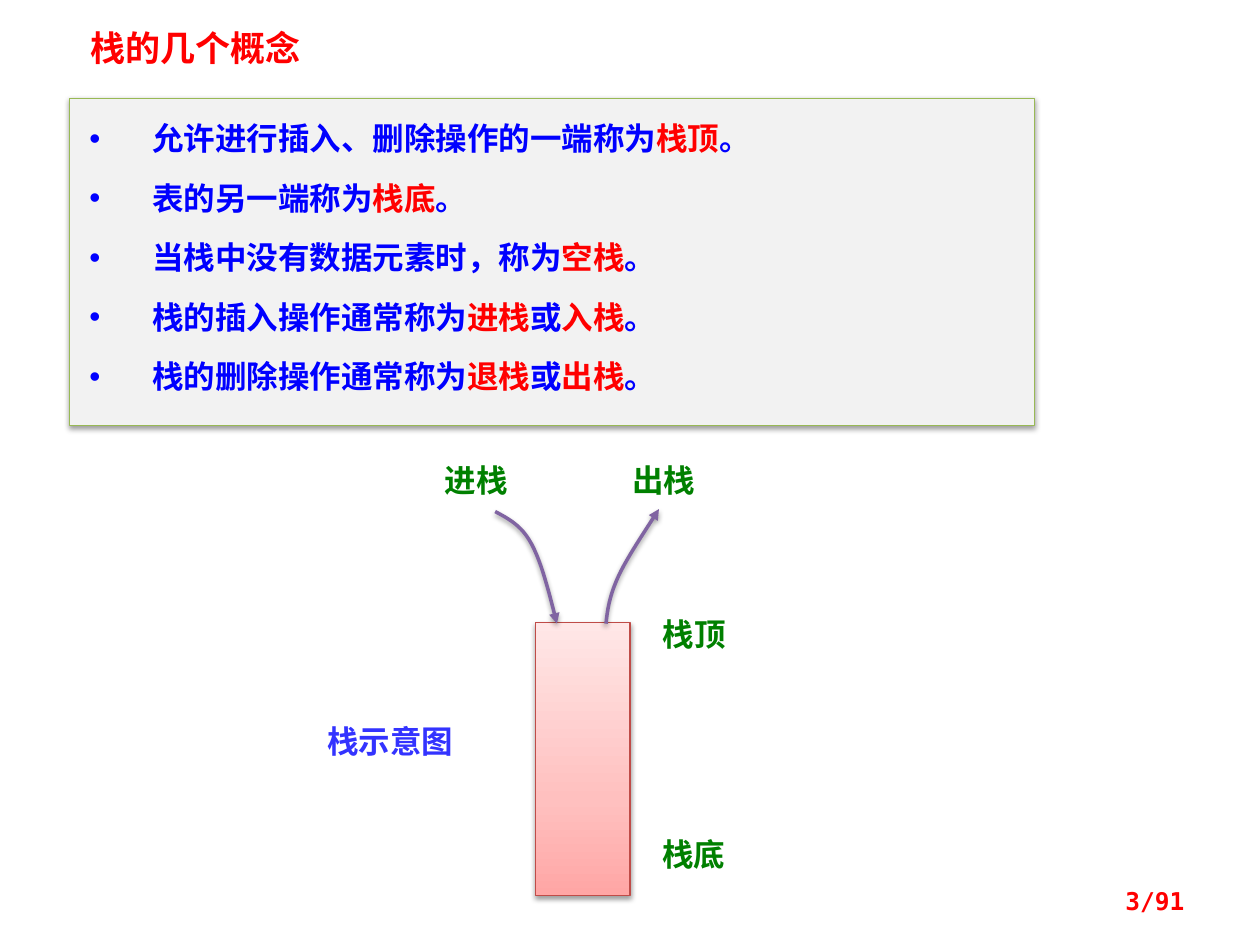
from lxml import etree
from pptx import Presentation
from pptx.dml.color import RGBColor
from pptx.enum.shapes import MSO_SHAPE
from pptx.enum.text import MSO_ANCHOR, PP_ALIGN
from pptx.oxml.ns import qn
from pptx.util import Inches, Pt

RECTANGLE = MSO_SHAPE.RECTANGLE
TOP, MIDDLE = MSO_ANCHOR.TOP, MSO_ANCHOR.MIDDLE
LEFT, RIGHT = PP_ALIGN.LEFT, PP_ALIGN.RIGHT
SANS, MONO = "Noto Sans CJK SC", "DejaVu Sans Mono"

COLORS = {
    "red": "FF0000", "blue": "0000FF", "green": "008000", "caption": "3333FF",
    "panel": "F2F2F2", "panel_line": "98B955", "stack_line": "BF4C48",
    "arrow": "8064A2", "shadow": "000000",
}
STACK_GRADIENT = [(0, "FFA6A5"), (35, "FFC0BF"), (100, "FFE7E7")]

TITLE = ("栈的几个概念", (0.62, 0.16, 2.42, 0.44))
PAGE_NUMBER = ("3/91", (7.17, 6.95, 2.33, 0.4))
PANEL_PLACE = (0.55, 0.78, 7.66, 2.6)
STACK_PLACE = (4.25, 4.94, 0.75, 2.17)

CONCEPTS = [
    ["允许进行插入、删除操作的一端称为", "栈顶", "。"],
    ["表的另一端称为", "栈底", "。"],
    ["当栈中没有数据元素时，称为", "空栈", "。"],
    ["栈的插入操作通常称为", "进栈", "或", "入栈", "。"],
    ["栈的删除操作通常称为", "退栈", "或", "出栈", "。"],
]
LABELS = [
    ("栈顶", (5.16, 4.83, 1.01, 0.4), "green"),
    ("栈底", (5.16, 6.58, 0.94, 0.4), "green"),
    ("栈示意图", (2.5, 5.68, 1.48, 0.4), "caption"),
]
OPERATIONS = [
    ("进栈", (3.43, 3.61, 1.25, 0.4),
     [(3.93, 4.06), (4.04, 4.12), (4.14, 4.17), (4.22, 4.32),
      (4.3, 4.47), (4.36, 4.71), (4.42, 4.95)]),
    ("出栈", (4.92, 3.61, 1.25, 0.4),
     [(4.81, 4.95), (4.82, 4.84), (4.84, 4.72), (4.91, 4.57),
      (4.98, 4.42), (5.11, 4.23), (5.23, 4.04)]),
]
CURVE_STEPS = 12


def color(name):
    return RGBColor.from_string(COLORS[name])


def inches(place):
    return [Inches(value) for value in place]


def set_font(para, size, name, color_name=None):
    font = para.font
    font.size, font.bold, font.name = Pt(size), True, name
    if color_name:
        font.color.rgb = color(color_name)
    properties = para._p.pPr.find(qn("a:defRPr"))
    etree.SubElement(properties, qn("a:ea"), typeface=SANS)


def write_line(box, text, size, font_name, color_name, align=LEFT, anchor=TOP):
    frame = box.text_frame
    frame.word_wrap = True
    frame.vertical_anchor = anchor
    frame.margin_left = frame.margin_right = Inches(0.1)
    frame.margin_top = frame.margin_bottom = Inches(0.05)
    para = frame.paragraphs[0]
    para.text = text
    para.alignment = align
    set_font(para, size, font_name, color_name)


def add_label(shapes, text, place, color_name):
    write_line(shapes.add_textbox(*inches(place)), text, 18, SANS, color_name)


def set_outline(shape, color_name, width):
    shape.line.color.rgb = color(color_name)
    shape.line.width = Pt(width)
    shape.shadow.inherit = False
    effects = shape._element.spPr.find(qn("a:effectLst"))
    shadow = etree.SubElement(
        effects, qn("a:outerShdw"), blurRad=str(Pt(3.1)), dist=str(Pt(1.6)),
        dir="5400000", rotWithShape="0")
    shade = etree.SubElement(shadow, qn("a:srgbClr"), val=COLORS["shadow"])
    etree.SubElement(shade, qn("a:alpha"), val="38000")


def add_concepts(shapes):
    panel = shapes.add_shape(RECTANGLE, *inches(PANEL_PLACE))
    panel.fill.solid()
    panel.fill.fore_color.rgb = color("panel")
    set_outline(panel, "panel_line", 0.75)
    frame = panel.text_frame
    frame.word_wrap = True
    frame.vertical_anchor = TOP
    frame.margin_left, frame.margin_right = Inches(0.16), Inches(0.1)
    frame.margin_top = frame.margin_bottom = Inches(0.12)
    for row, pieces in enumerate(CONCEPTS):
        para = frame.add_paragraph() if row else frame.paragraphs[0]
        para.alignment = LEFT
        para.line_spacing = Pt(25)
        if row:
            para.space_before = Pt(9)
        properties = para._p.get_or_add_pPr()
        properties.set("marL", str(Inches(0.5)))
        properties.set("indent", str(Inches(-0.5)))
        etree.SubElement(properties, qn("a:buFont"), typeface="Arial")
        etree.SubElement(properties, qn("a:buChar"), char="•")
        set_font(para, 18, MONO)
        for index, piece in enumerate(pieces):
            span = para.add_run()
            span.text = piece
            span.font.color.rgb = color("red" if index % 2 else "blue")


def add_stack(shapes):
    stack = shapes.add_shape(RECTANGLE, *inches(STACK_PLACE))
    stack.fill.gradient()
    stack.fill.gradient_angle = 90
    stops = stack._element.spPr.find(qn("a:gradFill")).find(qn("a:gsLst"))
    for stop in list(stops):
        stops.remove(stop)
    for percent, value in STACK_GRADIENT:
        stop = etree.SubElement(stops, qn("a:gs"), pos=str(percent * 1000))
        etree.SubElement(stop, qn("a:srgbClr"), val=value)
    set_outline(stack, "stack_line", 0.75)


def curve_points(controls):
    points = [controls[0]]
    for start in range(0, len(controls) - 1, 3):
        segment = controls[start:start + 4]
        for step in range(1, CURVE_STEPS + 1):
            t = step / CURVE_STEPS
            weights = ((1 - t) ** 3, 3 * t * (1 - t) ** 2, 3 * t * t * (1 - t), t ** 3)
            points.append(tuple(
                sum(weight * point[axis] for weight, point in zip(weights, segment))
                for axis in (0, 1)))
    return points


def add_curved_arrow(shapes, controls):
    points = [inches(point) for point in curve_points(controls)]
    builder = shapes.build_freeform(*points[0])
    builder.add_line_segments(points[1:], close=False)
    arrow = builder.convert_to_shape()
    arrow.fill.background()
    set_outline(arrow, "arrow", 2)
    line = arrow._element.spPr.find(qn("a:ln"))
    etree.SubElement(line, qn("a:round"))
    etree.SubElement(line, qn("a:tailEnd"), type="triangle")


def main():
    deck = Presentation()
    deck.slide_width, deck.slide_height = Inches(10), Inches(7.5)
    slide = deck.slides.add_slide(deck.slide_layouts[5])
    shapes = slide.shapes

    title, (text, place) = shapes.title, TITLE
    title.left, title.top, title.width, title.height = inches(place)
    write_line(title, text, 20, SANS, "red")

    add_concepts(shapes)
    add_stack(shapes)
    for label in LABELS:
        add_label(shapes, *label)
    for text, place, controls in OPERATIONS:
        group = shapes.add_group_shape()
        add_label(group.shapes, text, place, "green")
        add_curved_arrow(group.shapes, controls)

    text, place = PAGE_NUMBER
    write_line(shapes.add_textbox(*inches(place)), text, 14, MONO, "red", RIGHT, MIDDLE)
    deck.save("out.pptx")


if __name__ == "__main__":
    main()
